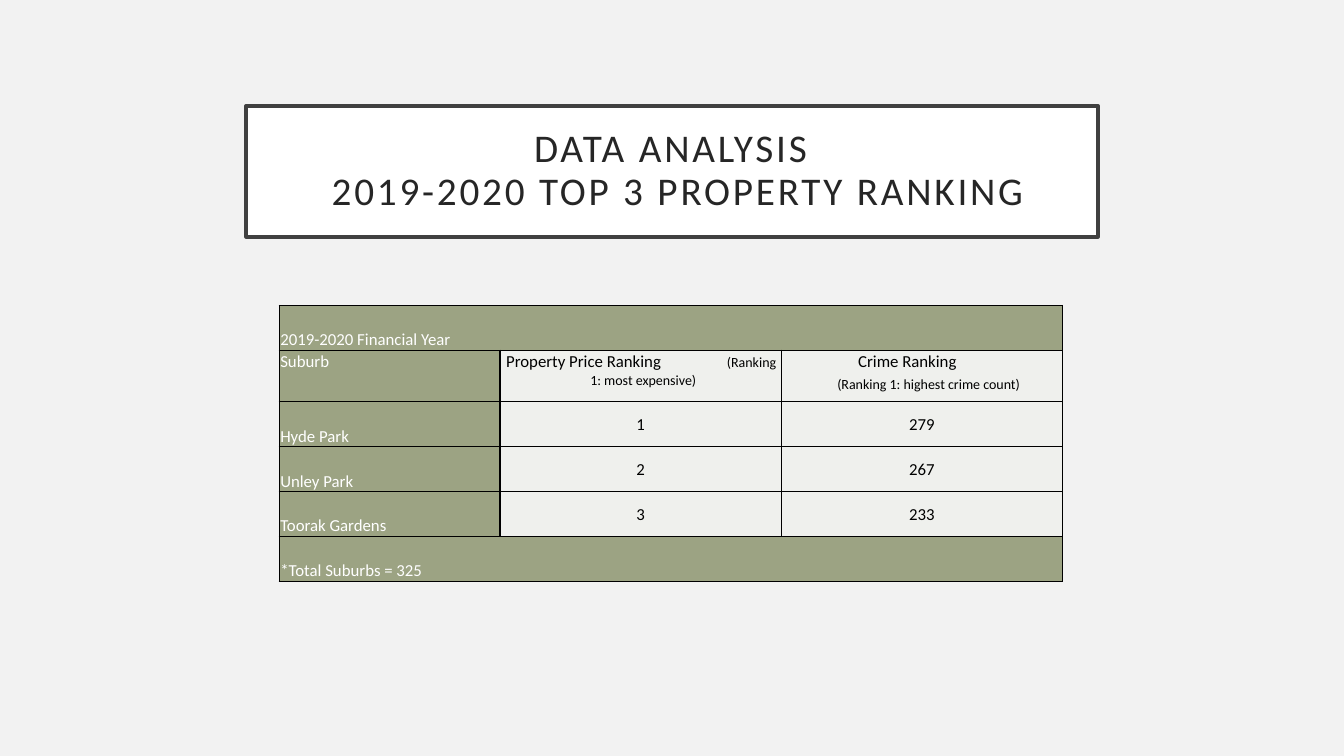
from lxml import etree
from pptx import Presentation
from pptx.dml.color import RGBColor
from pptx.enum.shapes import MSO_SHAPE as Shape
from pptx.enum.text import MSO_ANCHOR as Anchor, PP_ALIGN as Align
from pptx.oxml.ns import qn
from pptx.util import Inches, Pt

# Content
TITLE = "DATA ANALYSIS\v 2019-2020 TOP 3 PROPERTY RANKING"
HEADING = "2019-2020 Financial Year"
SUBURBS = [("Hyde Park", "1", "279"), ("Unley Park", "2", "267"), ("Toorak Gardens", "3", "233")]
FOOTNOTE = "*Total Suburbs = 325"

# Style
FONT = "Calibri"
GREEN, PALE, WHITE, BLACK = "9CA383", "EFF0ED", "FFFFFF", "000000"
COLUMNS = [2.19, 2.79, 2.79]
TABLE_HEIGHT, LABEL_HEIGHT = 2.74, 0.51
ROW_COUNT = len(SUBURBS) + 3
ROW_HEIGHT = (TABLE_HEIGHT - LABEL_HEIGHT) / (ROW_COUNT - 1)


def color(hex_text):
    return RGBColor.from_string(hex_text)


def paint(fill, hex_text):
    fill.solid()
    fill.fore_color.rgb = color(hex_text)


def add_run(paragraph, text, size, hex_text):
    run = paragraph.add_run()
    run.text = text
    run.font.name, run.font.size = FONT, Pt(size)
    run.font.color.rgb = color(hex_text)
    return run


def add_borders(cell):
    properties = cell._tc.get_or_add_tcPr()
    for side in ("a:lnL", "a:lnR", "a:lnT", "a:lnB"):
        line = etree.SubElement(properties, qn(side), w=str(Pt(1)))
        fill = etree.SubElement(line, qn("a:solidFill"))
        etree.SubElement(fill, qn("a:srgbClr"), val=BLACK)


def write_cell(cell, text, hex_text, anchor, align):
    cell.vertical_anchor = anchor
    paragraph = cell.text_frame.paragraphs[0]
    paragraph.alignment = align
    add_run(paragraph, text, 12, hex_text)
    return paragraph


def write_label(cell, text):
    write_cell(cell, text, WHITE, Anchor.BOTTOM, Align.LEFT)


def add_note(cell, text):
    paragraph = cell.text_frame.add_paragraph()
    paragraph.alignment = Align.CENTER
    add_run(paragraph, text, 10, BLACK)
    return paragraph


presentation = Presentation()
presentation.slide_width, presentation.slide_height = Inches(13.33), Inches(7.5)
slide = presentation.slides.add_slide(presentation.slide_layouts[6])
paint(slide.background.fill, "F2F2F2")

# Title box
box = slide.shapes.add_shape(Shape.RECTANGLE, Inches(2.44), Inches(1.05), Inches(8.45), Inches(1.3))
box.shadow.inherit = False
paint(box.fill, WHITE)
box.line.color.rgb = color("404040")
box.line.width = Pt(2.5)
frame = box.text_frame
frame.word_wrap = True
frame.vertical_anchor = Anchor.MIDDLE
frame.margin_left = frame.margin_right = frame.margin_top = frame.margin_bottom = Inches(0.2)
title = frame.paragraphs[0]
title.alignment, title.line_spacing = Align.CENTER, 0.9
for number, line_text in enumerate(TITLE.split("\v")):
    if number:
        title.add_line_break()
    run = add_run(title, line_text, 28, "262626")
    run.font._element.set("spc", "200")

# Table grid
table = slide.shapes.add_table(
    ROW_COUNT, len(COLUMNS), Inches(2.77), Inches(3.03), Inches(sum(COLUMNS)), Inches(TABLE_HEIGHT)
).table
table.first_row = table.horz_banding = False
for column, width in zip(table.columns, COLUMNS):
    column.width = Inches(width)
for index, row in enumerate(table.rows):
    row.height = Inches(LABEL_HEIGHT if index == 1 else ROW_HEIGHT)
    full_width = index in (0, ROW_COUNT - 1)
    for position, cell in enumerate(row.cells):
        add_borders(cell)
        paint(cell.fill, GREEN if full_width or position == 0 else PALE)
        cell.margin_left = cell.margin_right = cell.margin_top = Inches(0.01)
        cell.margin_bottom = 0
    if full_width:
        table.cell(index, 0).merge(table.cell(index, len(COLUMNS) - 1))

# Heading, suburbs and footnote
write_label(table.cell(0, 0), HEADING)
for index, (suburb, *ranks) in enumerate(SUBURBS, start=2):
    write_label(table.cell(index, 0), suburb)
    for position, rank in enumerate(ranks, start=1):
        write_cell(table.cell(index, position), rank, BLACK, Anchor.MIDDLE, Align.CENTER)
write_label(table.cell(ROW_COUNT - 1, 0), FOOTNOTE)

# Column labels
write_cell(table.cell(1, 0), "Suburb", WHITE, Anchor.TOP, Align.LEFT)

price = table.cell(1, 1)
price.margin_left = Inches(0.06)
label = write_cell(price, "Property Price Ranking", BLACK, Anchor.TOP, Align.LEFT)
add_run(label, "\t(Ranking", 10, BLACK)
tabs = etree.SubElement(label._p.get_or_add_pPr(), qn("a:tabLst"))
etree.SubElement(tabs, qn("a:tab"), pos=str(Inches(2.19)), algn="l")
add_note(price, "1: most expensive)")

crime = table.cell(1, 2)
crime.margin_right = Inches(0.3)
write_cell(crime, "Crime Ranking", BLACK, Anchor.TOP, Align.CENTER)
note = add_note(crime, "(Ranking 1: highest crime count)")
note.space_before = Pt(3)
note._p.get_or_add_pPr().set("marL", str(Inches(0.42)))

presentation.save("out.pptx")
